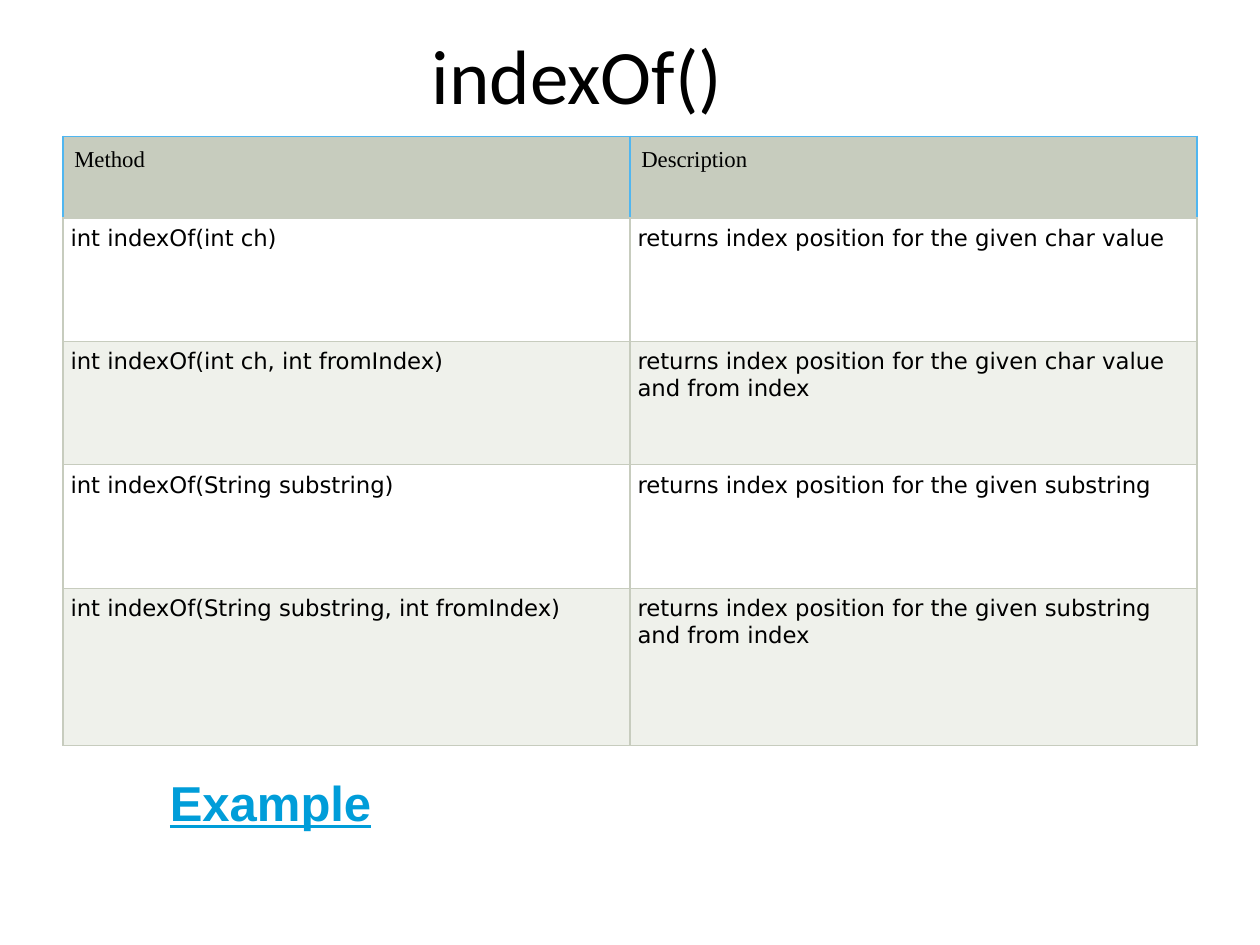
import pptx
import pptx.util
import pptx.dml.color
import pptx.enum.text
import pptx.oxml
import pptx.oxml.ns

Inches = pptx.util.Inches
Pt = pptx.util.Pt
RGBColor = pptx.dml.color.RGBColor
PP_ALIGN = pptx.enum.text.PP_ALIGN

BLACK = RGBColor(0x00, 0x00, 0x00)
WHITE = RGBColor(0xFF, 0xFF, 0xFF)
SAGE = RGBColor(0xC7, 0xCC, 0xBE)
PALE_SAGE = RGBColor(0xEF, 0xF1, 0xEB)
SKY = RGBColor(0x50, 0xB6, 0xF0)
LINK_BLUE = RGBColor(0x00, 0x9D, 0xD9)

# Content
TITLE = "indexOf()"
EXAMPLE = "Example"
METHODS = [
    ("Method", "Description"),
    ("int indexOf(int ch)", "returns index position for the given char value"),
    ("int indexOf(int ch, int fromIndex)",
     "returns index position for the given char value and from index"),
    ("int indexOf(String substring)", "returns index position for the given substring"),
    ("int indexOf(String substring, int fromIndex)",
     "returns index position for the given substring and from index"),
]
ROW_HEIGHTS = [0.65, 0.98, 0.98, 0.98, 1.25]
COLUMN_WIDTH = 4.5


def write(frame, text, font, size, color=BLACK, bold=False, underline=False,
          align=PP_ALIGN.LEFT):
    para = frame.paragraphs[0]
    para.alignment = align
    span = para.add_run()
    span.text = text
    span.font.name = font
    span.font.size = Pt(size)
    span.font.color.rgb = color
    span.font.bold = bold
    span.font.underline = underline


def set_borders(cell, **colors):
    properties = cell._tc.get_or_add_tcPr()
    for position, (side, color) in enumerate(colors.items()):
        line = pptx.oxml.parse_xml(
            f'<a:ln{side} {pptx.oxml.ns.nsdecls("a")} w="{Pt(0.75)}">'
            f'<a:solidFill><a:srgbClr val="{color}"/></a:solidFill></a:ln{side}>')
        properties.insert(position, line)


deck = pptx.Presentation()
deck.slide_width, deck.slide_height = Inches(10), Inches(7.5)
page = deck.slides.add_slide(deck.slide_layouts[6])

# Method table
table = page.shapes.add_table(
    len(METHODS), 2, Inches(0.5), Inches(1.08),
    Inches(2 * COLUMN_WIDTH), Inches(sum(ROW_HEIGHTS))).table
for column in table.columns:
    column.width = Inches(COLUMN_WIDTH)
for row, (texts, height) in enumerate(zip(METHODS, ROW_HEIGHTS)):
    header = row == 0
    table.rows[row].height = Inches(height)
    fill = SAGE if header else WHITE if row % 2 else PALE_SAGE
    edge = SKY if header else SAGE
    for column, text in enumerate(texts):
        cell = table.cell(row, column)
        cell.fill.solid()
        cell.fill.fore_color.rgb = fill
        inset = Inches(0.09 if header else 0.06)
        cell.margin_left = cell.margin_right = inset
        cell.margin_top = cell.margin_bottom = inset
        write(cell.text_frame, text, "Times New Roman" if header else "DejaVu Sans", 13)
        set_borders(cell, L=edge, R=edge, T=edge, B=SAGE)

# Example label
box = page.shapes.add_textbox(Inches(1.25), Inches(6.08), Inches(1.82), Inches(0.57))
box.text_frame.word_wrap = False
box.text_frame.auto_size = pptx.enum.text.MSO_AUTO_SIZE.SHAPE_TO_FIT_TEXT
write(box.text_frame, EXAMPLE, "Arial", 28, color=LINK_BLUE, bold=True, underline=True)

# Title
box = page.shapes.add_textbox(Inches(1.58), Inches(0.17), Inches(6), Inches(0.42))
box.text_frame.word_wrap = True
write(box.text_frame, TITLE, "Calibri", 44, align=PP_ALIGN.CENTER)

deck.save("out.pptx")
